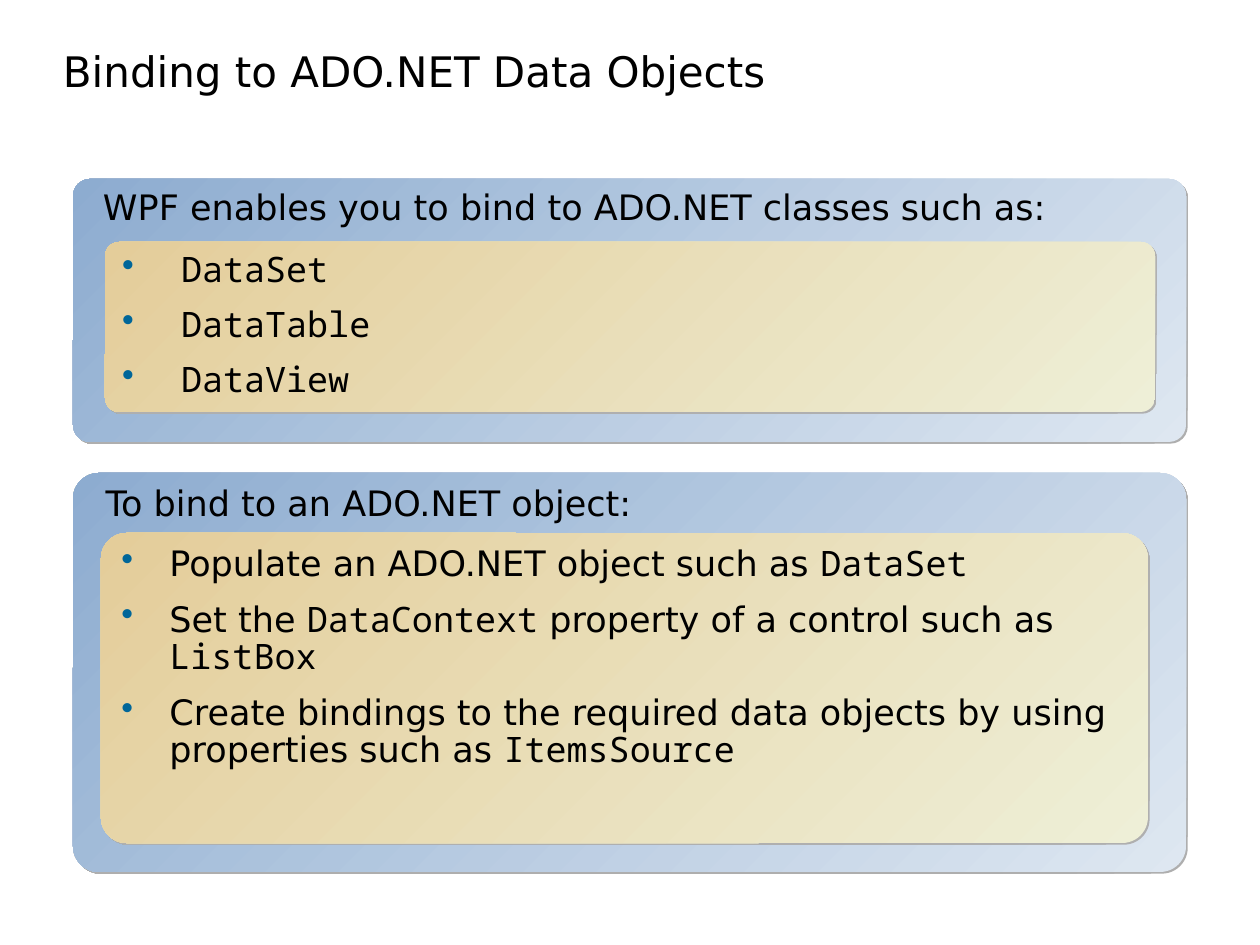
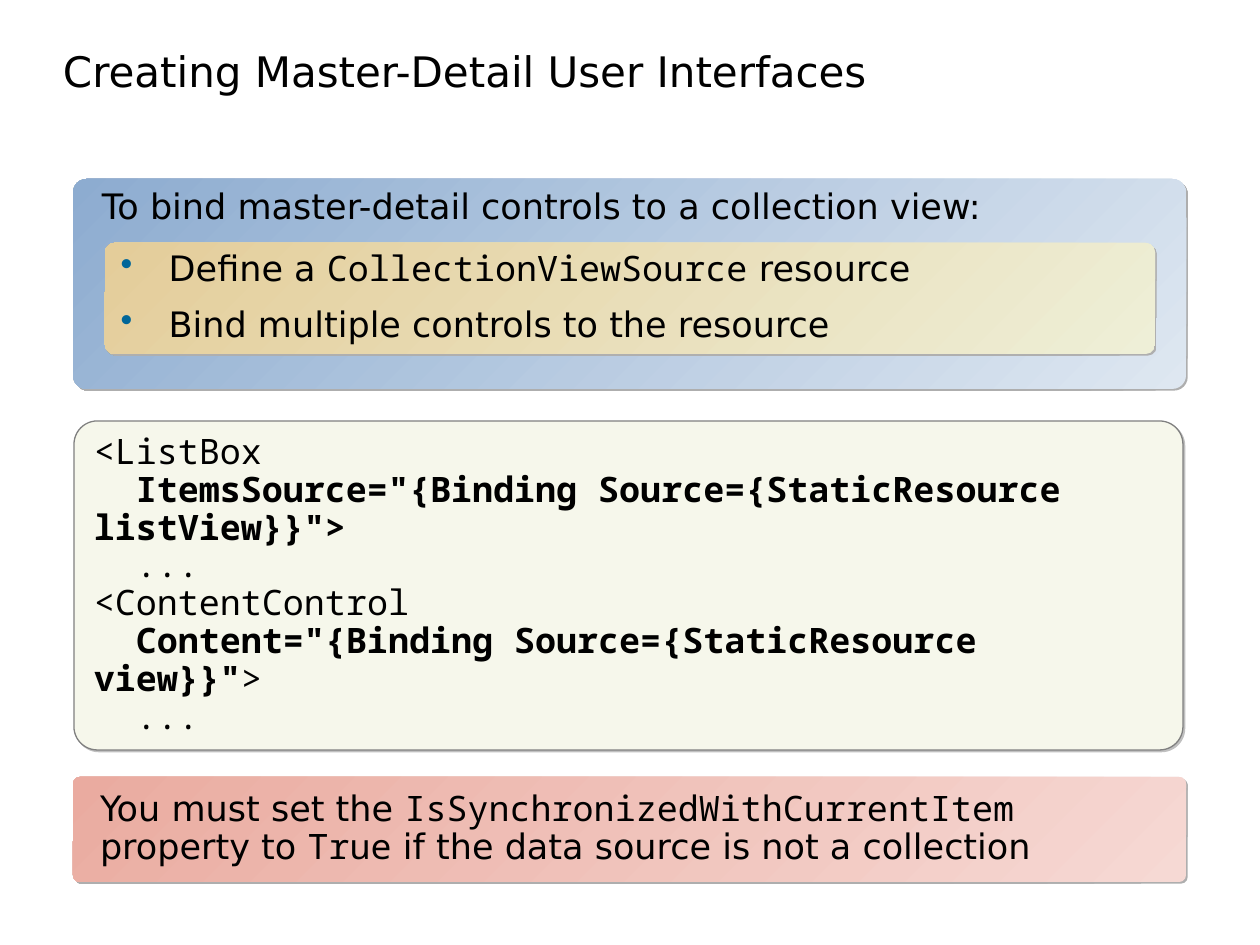
from dataclasses import dataclass

from lxml import etree
from pptx import Presentation
from pptx.dml.color import RGBColor
from pptx.enum.shapes import MSO_SHAPE
from pptx.enum.text import MSO_ANCHOR, PP_ALIGN
from pptx.oxml.ns import qn
from pptx.util import Emu, Pt

ROUND_RECT = MSO_SHAPE.ROUNDED_RECTANGLE
TOP, MIDDLE, BOTTOM = MSO_ANCHOR.TOP, MSO_ANCHOR.MIDDLE, MSO_ANCHOR.BOTTOM
LEFT = PP_ALIGN.LEFT
PX = 914400 / 126


# Theme: colours, fonts and type sizes
@dataclass(frozen=True)
class Theme:
    text: str = "000000"
    bullet: str = "006699"
    blue: tuple[str, ...] = ("DEE7F1", "8DACD0")
    sand: tuple[str, ...] = ("EEEFD7", "E4CD9A")
    red: tuple[str, ...] = ("F6D9D4", "EAABA0")
    code: tuple[str, ...] = ("F6F7EB",)
    outline: str = "808080"
    sans: str = "DejaVu Sans"
    mono: str = "Noto Sans Mono"
    title_size: float = 24
    body_size: float = 20


THEME = Theme()


@dataclass(frozen=True)
class Run:
    text: str
    font: str = THEME.sans
    bold: bool = False


@dataclass(frozen=True)
class Para:
    """Paragraph; first is the first-line indent, hang the bullet indent, in px."""
    runs: tuple[Run, ...]
    before: float = 0
    spacing: float = 0.9
    first: int = 0
    hang: int = 0


@dataclass(frozen=True)
class Rect:
    x: int
    y: int
    w: int
    h: int

    def emu(self) -> tuple[Emu, ...]:
        return tuple(px(v) for v in (self.x, self.y, self.w, self.h))


@dataclass(frozen=True)
class BoxStyle:
    fill: tuple[str, ...]
    radius: float
    pad: int
    shadow: str
    shadow_alpha: int = 100
    anchor: MSO_ANCHOR = TOP
    line: str | None = None


PANEL = BoxStyle(THEME.blue, 0.065, 25, "5F5F5F", 50)
CARD = BoxStyle(THEME.sand, 0.083, 13, "AFAFAF")
CODE = BoxStyle(THEME.code, 0.071, 13, "C0C0C0", anchor=MIDDLE, line=THEME.outline)
WARNING = BoxStyle(THEME.red, 0.065, 25, "5F5F5F", 50, MIDDLE)

PANEL_X, PANEL_W, PANEL_Y = 73, 1113, 179
CARD_X, CARD_W = 105, 1050
CODE_INDENT = 42


def px(value: float) -> Emu:
    return Emu(round(value * PX))


def rgb(color: str) -> RGBColor:
    return RGBColor.from_string(color)


# Paragraph builders
def mono(text: str, bold: bool = False) -> Run:
    return Run(text, THEME.mono, bold)


def heading(*runs: Run) -> Para:
    return Para(runs, before=17.5)


def bullet(*runs: Run, hang: int = 48) -> Para:
    return Para(runs, before=10, hang=hang)


def code_line(*runs: Run, indented: bool = False) -> Para:
    return Para(runs, first=CODE_INDENT if indented else 0)


# Drawing functions
def add_indent(p, para: Para) -> None:
    p_pr = p._p.get_or_add_pPr()
    p_pr.set("marL", str(px(para.hang)))
    p_pr.set("indent", str(px(para.first - para.hang)))
    if para.hang:
        color = etree.SubElement(p_pr, qn("a:buClr"))
        etree.SubElement(color, qn("a:srgbClr"), val=THEME.bullet)
        etree.SubElement(p_pr, qn("a:buChar"), char="•")


def write(tf, paras: list[Para], size: float, anchor: MSO_ANCHOR,
          left: int, right: int) -> None:
    tf.word_wrap = True
    tf.vertical_anchor = anchor
    tf.margin_left, tf.margin_right = px(left), px(right)
    tf.margin_top = tf.margin_bottom = px(6)
    for i, para in enumerate(paras):
        p = tf.add_paragraph() if i else tf.paragraphs[0]
        p.alignment = LEFT
        p.line_spacing = para.spacing
        p.space_before = Pt(para.before)
        add_indent(p, para)
        for run in para.runs:
            r = p.add_run()
            r.text = run.text
            r.font.name, r.font.size, r.font.bold = run.font, Pt(size), run.bold
            r.font.color.rgb = rgb(THEME.text)


def add_shadow(sp, color: str, alpha: int) -> None:
    sp.shadow.inherit = False
    effects = sp._element.spPr.find(qn("a:effectLst"))
    shadow = etree.SubElement(effects, qn("a:outerShdw"), blurRad="0",
                              dist=str(Pt(1.4)), dir="2700000",
                              algn="ctr", rotWithShape="0")
    tone = etree.SubElement(shadow, qn("a:srgbClr"), val=color)
    etree.SubElement(tone, qn("a:alpha"), val=str(alpha * 1000))


def add_box(slide, rect: Rect, style: BoxStyle, paras: list[Para]) -> None:
    sp = slide.shapes.add_shape(ROUND_RECT, *rect.emu())
    sp.adjustments[0] = style.radius
    if len(style.fill) == 1:
        sp.fill.solid()
        sp.fill.fore_color.rgb = rgb(style.fill[0])
    else:
        sp.fill.gradient()
        sp.fill.gradient_angle = 135
        for stop, color in zip(sp.fill.gradient_stops, style.fill):
            stop.color.rgb = rgb(color)
    if style.line:
        sp.line.color.rgb = rgb(style.line)
        sp.line.width = Pt(0.74)
    else:
        sp.line.fill.background()
    add_shadow(sp, style.shadow, style.shadow_alpha)
    write(sp.text_frame, paras, THEME.body_size, style.anchor, style.pad, style.pad)


def add_panel(slide, y: int, h: int, title: str, card: Rect,
              items: list[Para]) -> None:
    """Blue panel with a heading and a sand card of bullets."""
    add_box(slide, Rect(PANEL_X, y, PANEL_W, h), PANEL, [heading(Run(title))])
    add_box(slide, card, CARD, items)


def add_slide(prs, title: str):
    slide = prs.slides.add_slide(prs.slide_layouts[6])
    box = slide.shapes.add_textbox(*Rect(63, 0, 1071, 102).emu())
    write(box.text_frame, [Para((Run(title),), spacing=0.85)],
          THEME.title_size, BOTTOM, 0, 13)
    return slide


prs = Presentation()
prs.slide_width, prs.slide_height = px(1260), px(945)

# Slide 1: data objects
slide = add_slide(prs, "Binding to ADO.NET Data Objects")
add_panel(slide, PANEL_Y, 263, "WPF enables you to bind to ADO.NET classes such as:",
          Rect(CARD_X, 242, CARD_W, 170),
          [bullet(mono(name), hang=59) for name in ("DataSet", "DataTable", "DataView")])
add_panel(slide, 473, 399, "To bind to an ADO.NET object:", Rect(101, 533, 1047, 310), [
    bullet(Run("Populate an ADO.NET object such as "), mono("DataSet")),
    bullet(Run("Set the "), mono("DataContext"),
           Run(" property of a control such as "), mono("ListBox")),
    bullet(Run("Create bindings to the required data objects by using "
               "properties such as "), mono("ItemsSource")),
])

# Slide 2: master-detail
slide = add_slide(prs, "Creating Master-Detail User Interfaces")
add_box(slide, Rect(74, 421, 1109, 329), CODE, [
    code_line(mono("<ListBox")),
    code_line(mono('ItemsSource="{Binding Source={StaticResource listView}}">', True),
              indented=True),
    code_line(mono("..."), indented=True),
    code_line(mono("<ContentControl")),
    code_line(mono('Content="{Binding Source={StaticResource view}}"', True), mono(">"),
              indented=True),
    code_line(mono("..."), indented=True),
])
add_panel(slide, PANEL_Y, 210, "To bind master-detail controls to a collection view:",
          Rect(CARD_X, 243, CARD_W, 111), [
    bullet(Run("Define a "), mono("CollectionViewSource"), Run(" resource")),
    bullet(Run("Bind multiple controls to the resource")),
])
add_box(slide, Rect(PANEL_X, 777, PANEL_W, 105), WARNING, [
    heading(Run("You must set the "), mono("IsSynchronizedWithCurrentItem"),
            Run(" property to "), mono("True"),
            Run(" if the data source is not a collection")),
])

prs.save("out.pptx")
